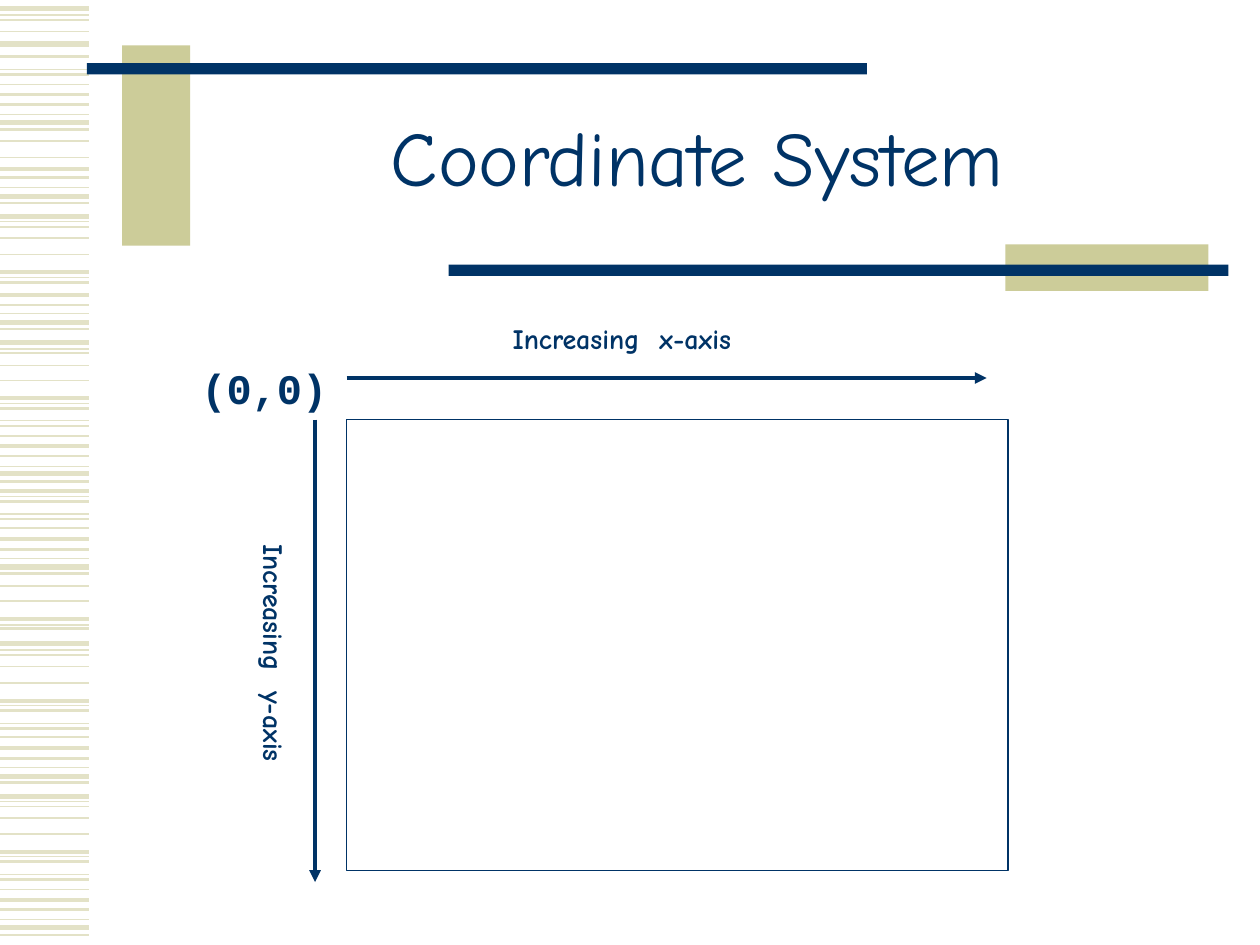
from dataclasses import dataclass

from lxml import etree
from pptx import Presentation
from pptx.dml.color import RGBColor
from pptx.enum.shapes import MSO_CONNECTOR, MSO_SHAPE
from pptx.enum.text import MSO_ANCHOR, MSO_AUTO_SIZE, PP_ALIGN
from pptx.oxml.ns import qn
from pptx.util import Inches, Pt


@dataclass(frozen=True)
class Theme:
    navy: str = "003366"
    khaki: str = "CCCC99"
    stripe: str = "E3E2C7"
    white: str = "FFFFFF"
    body_font: str = "Comic Neue"
    code_font: str = "Courier New"
    title_size: float = 44
    origin_size: float = 24
    label_size: float = 16
    axis_width: float = 2.25
    outline_width: float = 1


THEME = Theme()
SLIDE_W, SLIDE_H = 10, 7.5

TITLE = "Coordinate System"
TITLE_BOX = (1.5, 0.67, 8.07, 1.25)
ORIGIN = "(0,0)"
X_LABEL = "Increasing  x-axis"
Y_LABEL = "Increasing  y-axis"

# Stripe heights down the left margin, by line width in points
STRIPE_LENGTH = 0.71
STRIPES = {
    0.75: (0.12, 0.55, 0.91, 1.49, 1.76, 2.2, 2.49, 2.77, 3.2, 3.34, 3.7, 3.94,
           4.08, 4.43, 4.96, 5.16, 5.6, 5.74, 6.09, 6.36, 6.8, 6.94, 7.3),
    1: (0.16, 0.25, 0.67, 1.12, 1.25, 1.8, 1.89, 2.02, 2.8, 2.9, 3.02, 3.46,
        4.19, 4.65, 4.77, 5.2, 5.29, 5.42, 5.85, 6.4, 6.49, 6.62, 7.06),
    1.5: (0.45, 0.59, 0.83, 1.03, 1.41, 1.61, 2.24, 2.42, 2.61, 3.24, 3.38,
          3.62, 3.82, 3.98, 4.12, 4.36, 4.55, 4.99, 5.64, 5.78, 6.02, 6.21,
          6.84, 6.98, 7.22, 7.42),
    2.25: (0.75, 1.34, 2.16, 2.34, 3.16, 3.54, 3.9, 4.28, 4.91, 5.56, 5.94,
           6.76, 7.14),
    3: (0.07, 0.35, 0.97, 1.56, 1.72, 2.56, 2.72, 3.76, 4.5, 5.11, 6.16, 6.32,
        7.36),
}

BAR_W, BAR_H = 6.19, 0.09
TITLE_FRAME = (
    ((0.97, 0.36, 0.54, 1.59), THEME.khaki),
    ((0.69, 0.5, BAR_W, BAR_H), THEME.navy),
    ((7.98, 1.94, 1.61, 0.37), THEME.khaki),
    ((3.56, 2.1, BAR_W, BAR_H), THEME.navy),
)

CANVAS_LEFT, CANVAS_TOP, CANVAS_W, CANVAS_H = 2.75, 3.33, 5.25, 3.58
X_AXIS_Y = CANVAS_TOP - 0.33
X_AXIS_END = CANVAS_LEFT + 5.08
Y_AXIS_X = CANVAS_LEFT - 0.25
Y_AXIS_END = 7


def rgb(color):
    return RGBColor.from_string(color)


def add_rect(slide, box, fill, outline=None):
    rect = slide.shapes.add_shape(MSO_SHAPE.RECTANGLE, *map(Inches, box))
    rect.shadow.inherit = False
    rect.fill.solid()
    rect.fill.fore_color.rgb = rgb(fill)
    if outline:
        rect.line.color.rgb = rgb(outline)
        rect.line.width = Pt(THEME.outline_width)
    else:
        rect.line.fill.background()


def add_line(slide, start, end, color, width, arrow=False):
    line = slide.shapes.add_connector(
        MSO_CONNECTOR.STRAIGHT, *map(Inches, (*start, *end)))
    line.line.color.rgb = rgb(color)
    line.line.width = Pt(width)
    properties = line.element.spPr
    if arrow:
        etree.SubElement(properties.find(qn("a:ln")), qn("a:tailEnd"),
                         type="triangle")
    etree.SubElement(properties, qn("a:effectLst"))


def write(frame, text, *, size, font=THEME.body_font, color=THEME.navy,
          bold=False, align=PP_ALIGN.LEFT, spacing=None):
    paragraph = frame.paragraphs[0]
    paragraph.alignment = align
    paragraph.line_spacing = spacing
    run = paragraph.add_run()
    run.text = text
    run.font.size = Pt(size)
    run.font.name = font
    run.font.bold = bold
    run.font.color.rgb = rgb(color)


def add_label(slide, box, text, rotation=0, **text_format):
    label = slide.shapes.add_textbox(*map(Inches, box))
    label.rotation = rotation
    label.text_frame.word_wrap = False
    label.text_frame.auto_size = MSO_AUTO_SIZE.SHAPE_TO_FIT_TEXT
    write(label.text_frame, text, bold=True, **text_format)


def add_title(slide):
    title = slide.shapes.title
    title.left, title.top, title.width, title.height = map(Inches, TITLE_BOX)
    title.text_frame.vertical_anchor = MSO_ANCHOR.MIDDLE
    title.text_frame.auto_size = MSO_AUTO_SIZE.NONE
    write(title.text_frame, TITLE, size=THEME.title_size,
          align=PP_ALIGN.CENTER, spacing=0.85)


def add_margin_and_frame(slide):
    for width, heights in STRIPES.items():
        for y in heights:
            add_line(slide, (0, y), (STRIPE_LENGTH, y), THEME.stripe, width)
    for box, fill in TITLE_FRAME:
        add_rect(slide, box, fill)


def add_diagram(slide):
    add_rect(slide, (CANVAS_LEFT, CANVAS_TOP, CANVAS_W, CANVAS_H),
             THEME.white, THEME.navy)
    add_label(slide, (1.5, CANVAS_TOP - 0.5, 1.2, 0.5), ORIGIN,
              size=THEME.origin_size, font=THEME.code_font)
    axes = (
        ((CANVAS_LEFT, X_AXIS_Y), (X_AXIS_END, X_AXIS_Y)),
        ((Y_AXIS_X, CANVAS_TOP), (Y_AXIS_X, Y_AXIS_END)),
    )
    for start, end in axes:
        add_line(slide, start, end, THEME.navy, THEME.axis_width, arrow=True)
    add_label(slide, (3.97, X_AXIS_Y - 0.5, 1.94, 0.37), X_LABEL,
              size=THEME.label_size)
    add_label(slide, (1.21, 5, 1.93, 0.37), Y_LABEL, rotation=90,
              size=THEME.label_size)


def main():
    deck = Presentation()
    deck.slide_width, deck.slide_height = Inches(SLIDE_W), Inches(SLIDE_H)
    slide = deck.slides.add_slide(deck.slide_layouts.get_by_name("Title Only"))
    add_margin_and_frame(slide)
    add_title(slide)
    add_diagram(slide)
    deck.save("out.pptx")


if __name__ == "__main__":
    main()
